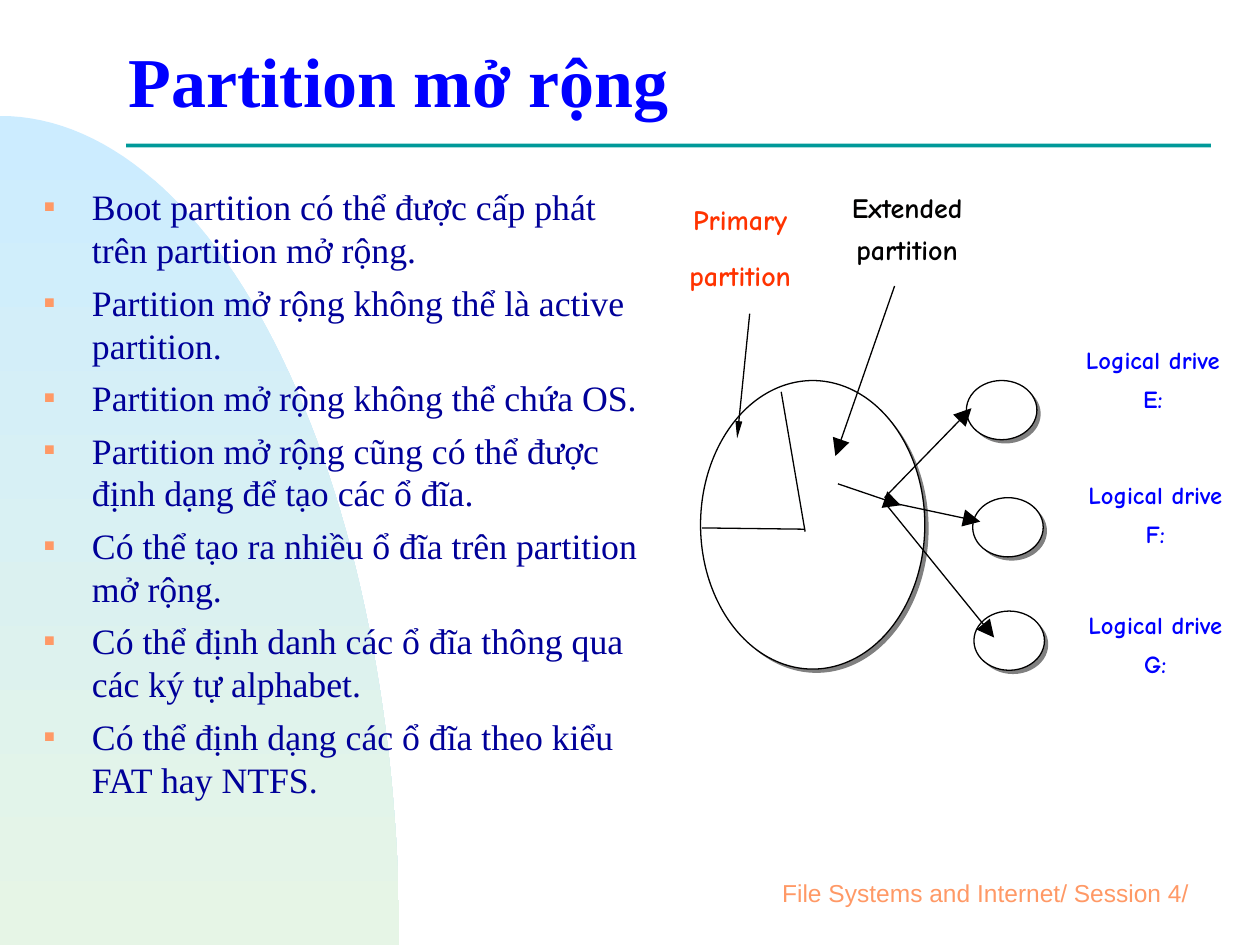
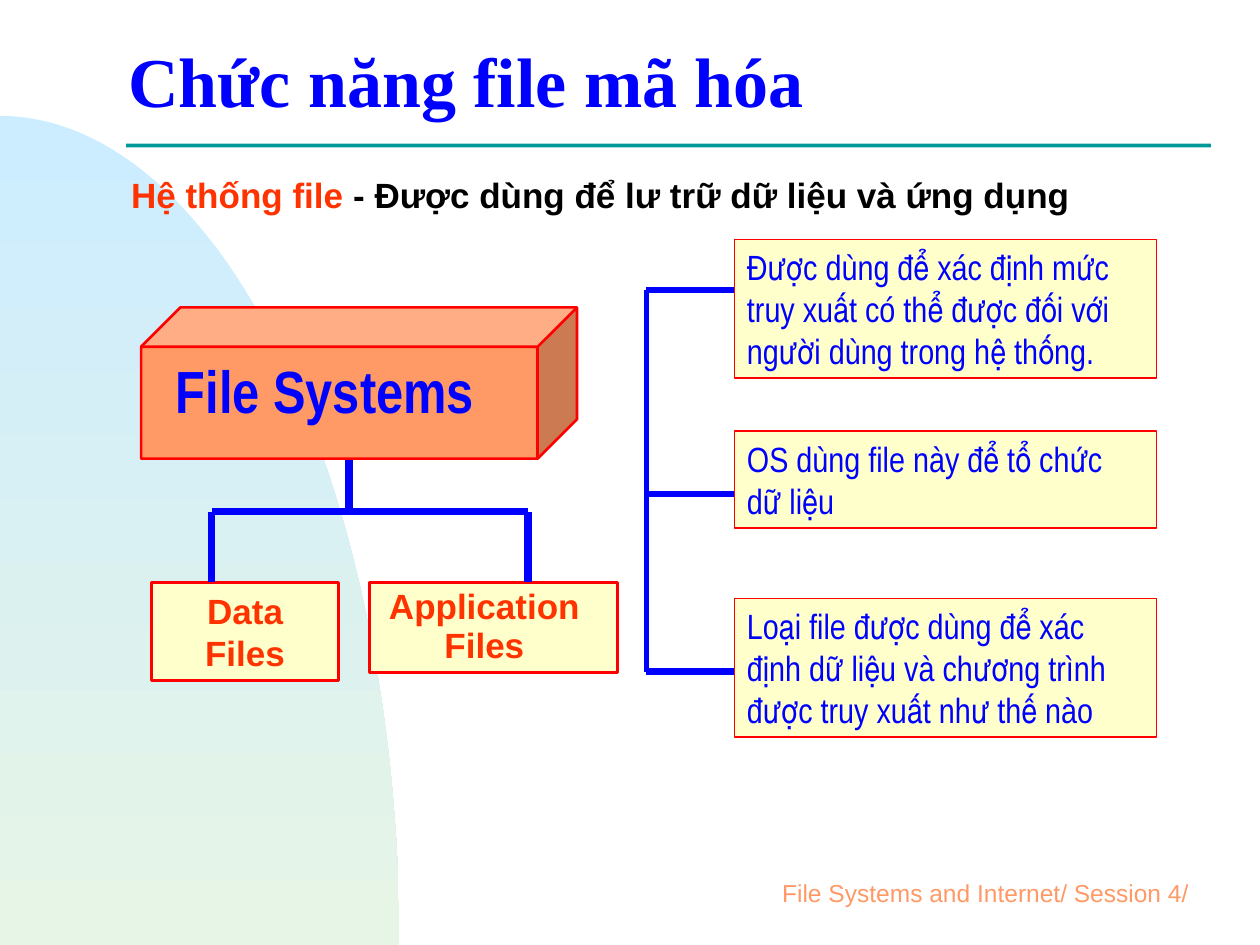
"""Build two slides on extended partitions and file systems."""
from math import cos, pi, sin

from lxml.etree import SubElement
from pptx import Presentation
from pptx.dml.color import RGBColor
from pptx.enum.shapes import MSO_CONNECTOR, MSO_SHAPE
from pptx.enum.text import MSO_ANCHOR, MSO_AUTO_SIZE, PP_ALIGN
from pptx.oxml.ns import qn
from pptx.util import Inches, Pt

BLUE, NAVY, RED, ROSE = "0000FF", "000099", "FF0000", "FF3300"
PEACH, CREAM, TEAL, BLACK = "FF9966", "FFFFCC", "009999", "010000"
WHITE, GRAY = "FFFFFF", "808080"

TITLE = dict(size=Pt(40), name="Times New Roman", bold=True, color=BLUE)
BODY = dict(size=Pt(20.4), name="Times New Roman", color=NAVY)
FOOT = dict(size=Pt(14), name="Arial", color=PEACH)
COMIC = dict(size=Pt(16), name="Comic Neue", bold=True, color=BLACK)
DRIVE = dict(COMIC, size=Pt(14), color=BLUE)
LABEL = dict(size=Pt(20), name="Arial", bold=True, color=ROSE)
CUBE = dict(size=Pt(34), name="Arial Narrow", bold=True, color=BLUE)
NOTE = dict(size=Pt(20), name="Arial Narrow", bold=False, color=BLUE)

LEFT = dict(alignment=PP_ALIGN.LEFT)
MID = dict(alignment=PP_ALIGN.CENTER)
RIGHT = dict(alignment=PP_ALIGN.RIGHT)

POINTS = [
    "Boot partition có thể được cấp phát trên partition mở rộng.",
    "Partition mở rộng không thể là active partition.",
    "Partition mở rộng không thể chứa OS.",
    "Partition mở rộng cũng có thể được định dạng để tạo các ổ đĩa.",
    "Có thể tạo ra nhiều ổ đĩa trên partition mở rộng.",
    "Có thể định danh các ổ đĩa thông qua các ký tự alphabet.",
    "Có thể định dạng các ổ đĩa theo kiểu FAT hay NTFS.",
]
DRIVES = [("E:", 7.67, 3.02, 8.58, 2.74),
          ("F:", 7.72, 3.95, 8.6, 3.81),
          ("G:", 7.73, 4.85, 8.6, 4.84)]
ARROWS = [((7.02, 3.95), (7.71, 3.24), "lg"),
          ((7.03, 3.98), (7.78, 4.14), "lg"),
          ((7.03, 4), (7.89, 5.06), "lg"),
          ((6.65, 3.84), (7.15, 4.01), "lg"),
          ((5.95, 2.49), (5.85, 3.48), "sm"),
          ((7.1, 2.27), (6.63, 3.62), "lg")]
NOTES = [
    (1.9, 1.1, 2.3, "Được dùng để xác định mức truy xuất có thể được "
                    "đối với người dùng trong hệ thống."),
    (3.42, 0.77, 3.92, "OS dùng file này để tổ chức dữ liệu"),
    (4.75, 1.1, 5.33, "Loại file được dùng để xác định dữ liệu và chương "
                      "trình được truy xuất như thế nào"),
]


def hue(code):
    """Turn a hex string into a colour."""
    return RGBColor.from_string(code)


def apply(item, style):
    """Set each named attribute of an item."""
    for key, value in style.items():
        if key == "color":
            item.color.rgb = hue(value)
        else:
            setattr(item, key, value)


def say(para, text, look):
    """Add one formatted run."""
    run = para.add_run()
    run.text = text
    apply(run.font, look)


def write(frame, lines, look, para, gap=0):
    """Fill a text frame, one paragraph a line."""
    for i, line in enumerate(lines):
        item = frame.add_paragraph() if i else frame.paragraphs[0]
        apply(item, dict(para, space_before=Pt(gap if i else 0)))
        say(item, line, look)


def pad(frame, sides, wrap=True, anchor=MSO_ANCHOR.TOP):
    """Set left, top, right and bottom insets, wrapping and anchor."""
    left, top, right, low = map(Inches, sides)
    apply(frame, dict(margin_left=left, margin_top=top, margin_right=right,
                      margin_bottom=low, word_wrap=wrap,
                      vertical_anchor=anchor, auto_size=MSO_AUTO_SIZE.NONE))


def place(item, *area):
    """Move and size a placeholder."""
    apply(item, dict(zip(("left", "top", "width", "height"),
                         map(Inches, area))))


def shape(slide, kind, area, fill, line=None, width=0.75):
    """Draw a flat preset shape."""
    item = slide.shapes.add_shape(kind, *map(Inches, area))
    item.shadow.inherit = False
    item.fill.solid()
    item.fill.fore_color.rgb = hue(fill)
    if line:
        item.line.color.rgb = hue(line)
        item.line.width = Pt(width)
    else:
        item.line.fill.background()
    return item


def label(slide, area, lines, look, gap=0):
    """Add a centred label without insets."""
    frame = slide.shapes.add_textbox(*map(Inches, area)).text_frame
    pad(frame, (0, 0, 0, 0), False)
    write(frame, lines, look, MID, gap)


def line(slide, start, end, color=BLACK, width=0.75, head=None):
    """Draw a straight line, with an arrowhead of a given width if asked."""
    item = slide.shapes.add_connector(MSO_CONNECTOR.STRAIGHT,
                                      *map(Inches, start + end))
    item.line.color.rgb = hue(color)
    item.line.width = Pt(width)
    if head:
        SubElement(item.line._get_or_add_ln(), qn("a:tailEnd"),
                   type="triangle", w=head, len="lg")
    SubElement(item.element.spPr, qn("a:effectLst"))


def disk(slide, x, y, wide, high):
    """Draw a white ellipse over its gray shade."""
    shape(slide, MSO_SHAPE.OVAL, (x + 0.03, y + 0.03, wide, high), GRAY)
    shape(slide, MSO_SHAPE.OVAL, (x, y, wide, high), WHITE, BLACK)


def bullet(para):
    """Give a paragraph a small square bullet."""
    props = para._p.get_or_add_pPr()
    props.set("marL", str(Inches(0.38)))
    props.set("indent", str(-Inches(0.38)))
    tint = SubElement(props, qn("a:buClr"))
    SubElement(tint, qn("a:srgbClr"), val=PEACH)
    SubElement(props, qn("a:buSzPct"), val="50000")
    SubElement(props, qn("a:buChar"), char="■")


def back(deck, slide):
    """Put the curved panel and the title rule on the slide master."""
    steps = 60
    arc = [(Inches(3.17 * sin(pi / 2 * i / steps)),
            Inches(7.5 - 6.58 * cos(pi / 2 * i / steps)))
           for i in range(steps + 1)]
    pen = slide.shapes.build_freeform(*arc[0])
    pen.add_line_segments(arc[1:] + [(0, Inches(7.5))], close=True)
    panel = pen.convert_to_shape()
    panel.shadow.inherit = False
    panel.line.fill.background()
    panel.fill.gradient()
    panel.fill.gradient_angle = 270
    for stop, code in zip(panel.fill.gradient_stops, ("CCECFF", "E6F5E6")):
        stop.color.rgb = hue(code)
    rule = shape(slide, MSO_SHAPE.RECTANGLE, (1, 1.14, 8.61, 0.03), TEAL)
    tree = deck.slide_master.element.cSld.spTree
    for i, item in enumerate((panel, rule)):
        tree.insert(2 + i, item.element)


def start(deck, layout, title):
    """Add a slide with its title and footer."""
    slide = deck.slides.add_slide(deck.slide_layouts[layout])
    head = slide.shapes.title
    place(head, 1, 0.17, 8.5, 1.08)
    pad(head.text_frame, (0.02, 0.01, 0.02, 0.01), anchor=MSO_ANCHOR.MIDDLE)
    write(head.text_frame, [title], TITLE, dict(LEFT, line_spacing=0.7))
    foot = slide.shapes.add_textbox(*map(Inches, (3.67, 6.67, 5.92, 0.83)))
    pad(foot.text_frame, (0.1, 0.05, 0.1, 0.05), anchor=MSO_ANCHOR.MIDDLE)
    write(foot.text_frame, ["File Systems and Internet/ Session 4/ "],
          FOOT, RIGHT)
    return slide


def disks(slide):
    """Fill the slide on extended partitions."""
    body = slide.placeholders[1]
    place(body, 0.25, 1.42, 5.08, 5.25)
    pad(body.text_frame, (0.1, 0.05, 0.1, 0.05))
    write(body.text_frame, POINTS, BODY, LEFT, 5.5)
    for para in body.text_frame.paragraphs:
        bullet(para)
    disk(slide, 5.56, 3.02, 1.78, 2.29)
    label(slide, (5.46, 1.61, 0.83, 0.71), ["Primary", "partition"],
          dict(COMIC, color=ROSE), 12.5)
    label(slide, (6.72, 1.51, 0.96, 0.61), ["Extended", "partition"],
          COMIC, 5)
    for name, x, y, left, top in DRIVES:
        disk(slide, x, y, 0.56, 0.47)
        label(slide, (left, top, 1.14, 0.54), ["Logical drive", name],
              DRIVE, 5.5)
    line(slide, (5.57, 4.19), (6.39, 4.2))
    line(slide, (6.2, 3.11), (6.39, 4.22))
    for begin, end, head in ARROWS:
        line(slide, begin, end, head=head)


def files(slide):
    """Fill the slide on file systems."""
    lead = slide.shapes.add_textbox(*map(Inches, (1.04, 1.38, 7.45, 0.33)))
    pad(lead.text_frame, (0, 0, 0, 0), False)
    write(lead.text_frame, ["Hệ thống file "], LABEL, LEFT)
    say(lead.text_frame.paragraphs[0],
        "- Được dùng để lư trữ dữ liệu và ứng dụng", dict(LABEL, color=BLACK))

    line(slide, (2.77, 3.5), (2.77, 4.06), BLUE, 4.3)
    cube = shape(slide, MSO_SHAPE.CUBE, (1.12, 2.44, 3.46, 1.2),
                 PEACH, RED, 1.5)
    cube.adjustments[0] = 0.26
    pad(cube.text_frame, (0, 0, 0.23, 0.2), False, MSO_ANCHOR.MIDDLE)
    write(cube.text_frame, ["File Systems"], CUBE, MID)
    for area, word, right, pitch in (
            ((1.2, 4.62, 1.49, 0.78), "Data", 0, 1),
            ((2.93, 4.62, 1.97, 0.72), "Application", 0.14, 0.91)):
        box = shape(slide, MSO_SHAPE.RECTANGLE, area, CREAM, RED, 1.62)
        pad(box.text_frame, (0, 0, right, 0), anchor=MSO_ANCHOR.MIDDLE)
        write(box.text_frame, [word, "Files"], LABEL,
              dict(MID, line_spacing=pitch))
    line(slide, (1.68, 4.06), (4.19, 4.06), BLUE, 3.6)
    for x in (1.68, 4.19):
        line(slide, (x, 4.06), (x, 4.62), BLUE, 4.3)

    line(slide, (5.13, 2.3), (5.13, 5.33), BLUE, 3)
    for top, high, y, text in NOTES:
        line(slide, (5.13, y), (5.83, y), BLUE, 3.6)
        box = shape(slide, MSO_SHAPE.RECTANGLE, (5.83, top, 3.35, high),
                    CREAM, RED)
        pad(box.text_frame, (0.1, 0.05, 0.1, 0.05))
        write(box.text_frame, [text], NOTE, LEFT)


def main():
    """Build and save the deck."""
    deck = Presentation()
    deck.slide_width, deck.slide_height = Inches(10), Inches(7.5)
    first = start(deck, 1, "Partition mở rộng")
    back(deck, first)
    disks(first)
    files(start(deck, 5, "Chức năng file mã hóa"))
    deck.save("out.pptx")


if __name__ == "__main__":
    main()
